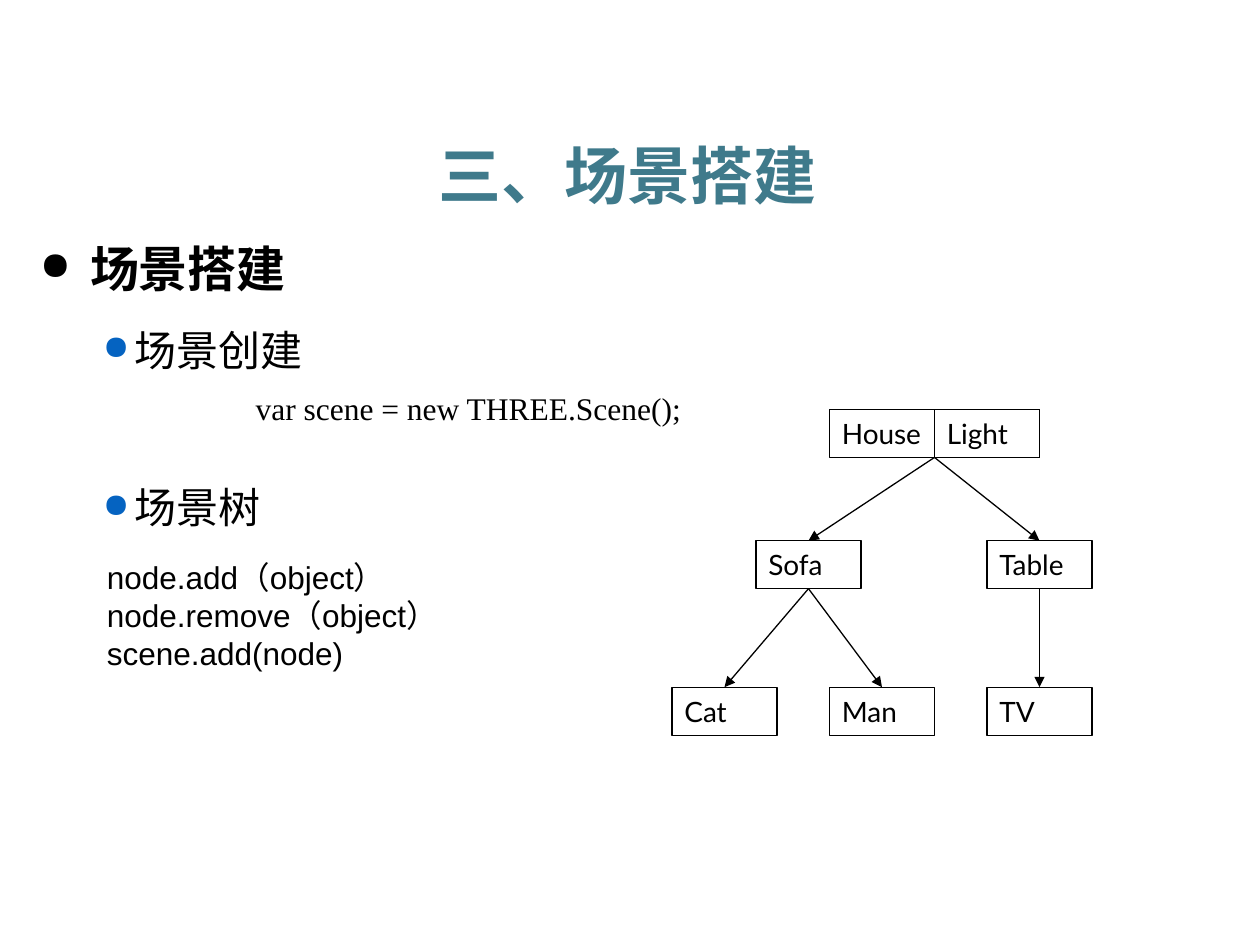
from lxml.etree import SubElement
from pptx import Presentation
from pptx.dml.color import RGBColor
from pptx.enum.shapes import MSO_CONNECTOR as Connector, MSO_SHAPE as Shape
from pptx.enum.text import MSO_ANCHOR as Anchor, PP_ALIGN as Align
from pptx.oxml.ns import qn
from pptx.util import Pt


def color(value):
    return RGBColor.from_string(value)


def style(para, name, size, value="000000", bold=False):
    font = para.font
    font.name, font.size, font.bold = name, Pt(size), bold
    font.color.rgb = color(value)
    east = SubElement(font._element, qn("a:ea"))
    east.set("typeface", "Noto Sans CJK SC")


CJK = "Noto Sans CJK SC"
deck = Presentation()
deck.slide_width, deck.slide_height = Pt(720), Pt(540)
page = deck.slides.add_slide(deck.slide_layouts[5])

title = page.shapes.title
title.left, title.top, title.width, title.height = Pt(22.3), Pt(65.5), Pt(672.5), Pt(59.8)
title.text_frame.vertical_anchor = Anchor.MIDDLE
para = title.text_frame.paragraphs[0]
para.text = "三、场景搭建"
para.alignment = Align.CENTER
para.line_spacing = 1.2
style(para, CJK, 36, "3F7A8B", True)

outline = page.shapes.add_textbox(Pt(-20.2), Pt(116.6), Pt(707.8), Pt(259.9)).text_frame
outline.word_wrap = True
outline_items = [
    ("场景搭建", 28, True, "000000", 64.6, 28.6, 50, 0),
    ("场景创建", 24, False, "0563C1", 90, 18, 44, 0),
    ("场景树", 24, False, "0563C1", 90, 18, 44, 46),
]
for index, (text, size, bold, bullet_color, margin, hanging, line, gap) in enumerate(outline_items):
    para = outline.add_paragraph() if index else outline.paragraphs[0]
    para.text = text
    para.level = 1 if index else 0
    para.line_spacing = Pt(line)
    if gap:
        para.space_before = Pt(gap)
    properties = para._p.get_or_add_pPr()
    properties.set("marL", str(Pt(margin)))
    properties.set("indent", str(-Pt(hanging)))
    bullet = SubElement(properties, qn("a:buClr"))
    SubElement(bullet, qn("a:srgbClr")).set("val", bullet_color)
    SubElement(properties, qn("a:buSzPct")).set("val", "80000")
    SubElement(properties, qn("a:buChar")).set("char", "●")
    style(para, CJK, size, bold=bold)

code_blocks = [
    (139, 218.9, 400, 28.8, "Times New Roman", ["var scene = new THREE.Scene();"]),
    (54, 315.4, 360, 72.7, "Arial", ["node.add（object）", "node.remove（object）", "scene.add(node)"]),
]
for left, top, width, height, name, lines in code_blocks:
    frame = page.shapes.add_textbox(Pt(left), Pt(top), Pt(width), Pt(height)).text_frame
    frame.word_wrap = True
    for index, text in enumerate(lines):
        para = frame.add_paragraph() if index else frame.paragraphs[0]
        para.text = text
        style(para, name, 18)

node_width, node_height = 60, 27.4
root_top, middle_top, leaf_top = 234, 309, 392.7
nodes = {}
for text, left, top, width in [
    ("House", 474, root_top, 2 * node_width),
    ("Light", 534, root_top, node_width),
    ("Sofa", 432, middle_top, node_width),
    ("Table", 564, middle_top, node_width),
    ("Cat", 384, leaf_top, node_width),
    ("Man", 474, leaf_top, node_width),
    ("TV", 564, leaf_top, node_width),
]:
    box = page.shapes.add_shape(Shape.RECTANGLE, Pt(left), Pt(top), Pt(width), Pt(node_height))
    box.shadow.inherit = False
    box.fill.background()
    box.line.color.rgb = color("000000")
    box.line.width = Pt(0.75)
    box.text_frame.vertical_anchor = Anchor.MIDDLE
    para = box.text_frame.paragraphs[0]
    para.text = text
    para.alignment = Align.LEFT
    style(para, "Lato", 16)
    nodes[text] = box

for parent, child in [("House", "Sofa"), ("House", "Table"), ("Sofa", "Cat"), ("Sofa", "Man"), ("Table", "TV")]:
    edge = page.shapes.add_connector(Connector.STRAIGHT, 0, 0, 0, 0)
    edge.begin_connect(nodes[parent], 2)
    edge.end_connect(nodes[child], 0)
    edge.line.color.rgb = color("000000")
    edge.line.width = Pt(0.75)
    SubElement(edge.line._get_or_add_ln(), qn("a:tailEnd")).set("type", "triangle")
    SubElement(edge._element.spPr, qn("a:effectLst"))

deck.save("out.pptx")
